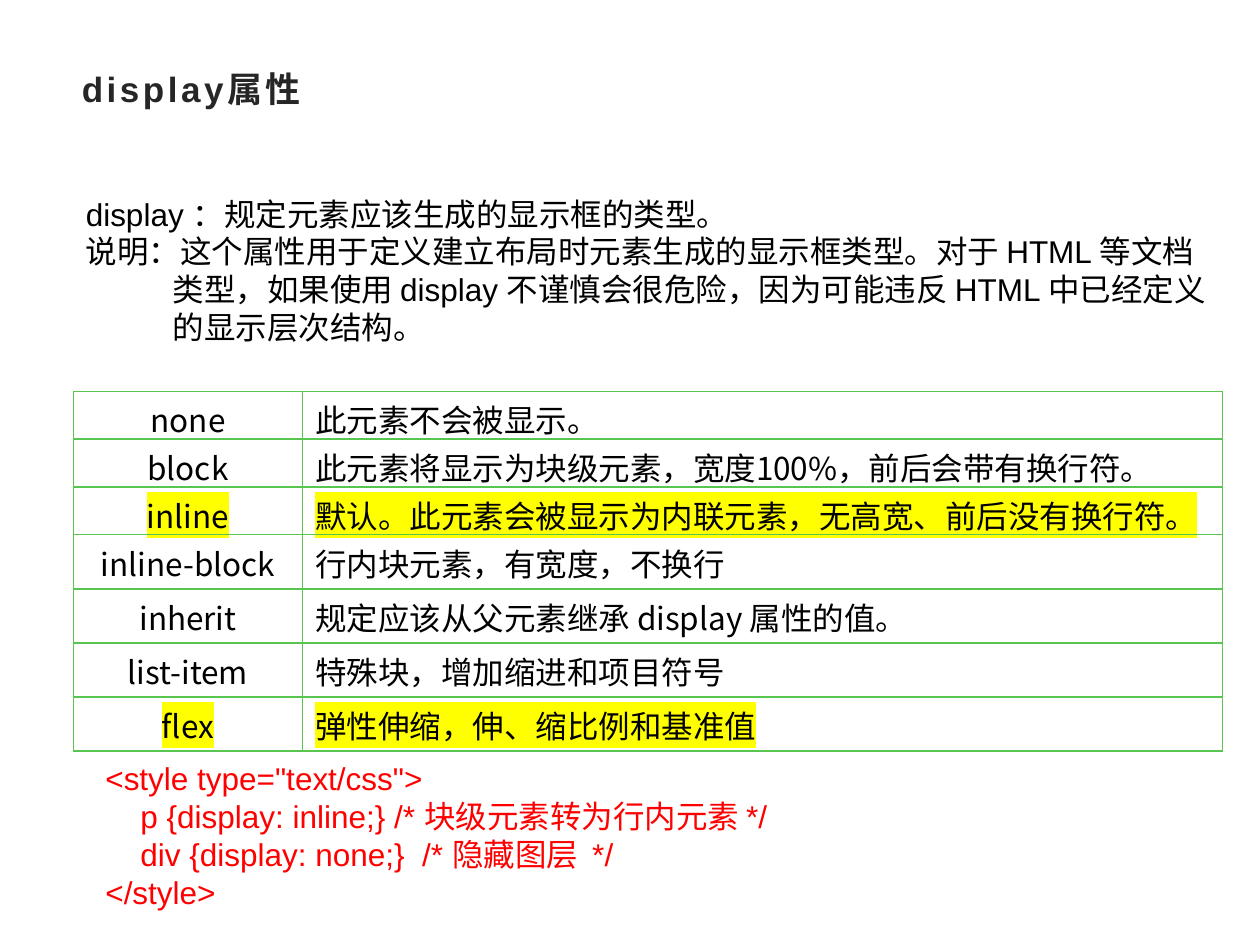
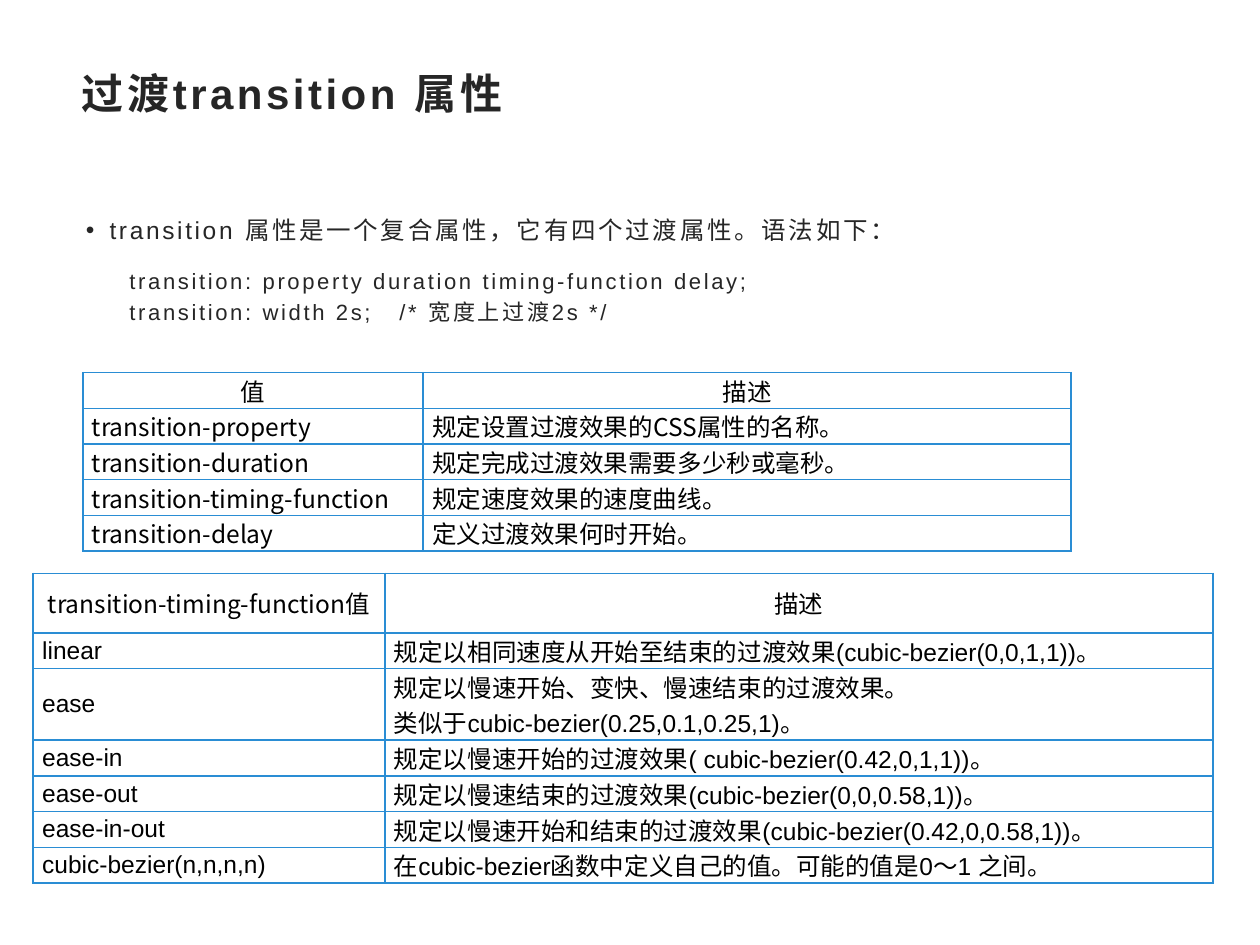
from dataclasses import dataclass
from lxml.etree import SubElement as Sub
from pptx import Presentation
from pptx.dml.color import RGBColor as Rgb
from pptx.enum.text import MSO_ANCHOR as Anchor, PP_ALIGN as Align
from pptx.oxml.ns import qn
from pptx.util import Cm, Pt


@dataclass(frozen=True)
class Theme:
    """Colours, fonts and type sizes of the slides."""
    ink: str = "000000"
    dark: str = "262626"
    red: str = "FF0000"
    green: str = "59C54F"
    blue: str = "2A8DD4"
    glow: str = "FFFF00"
    sans: str = "Arial"
    han: str = "Noto Sans CJK SC"
    large: float = 24
    head: float = 20
    text: float = 18
    small: float = 14
    code: float = 12.6


T = Theme()
TITLE = {"size": Pt(T.head), "bold": True, "color": T.dark, "track": 2}
TEXT = {"size": Pt(T.text)}
BODY = {"size": Pt(T.small), "color": T.dark, "track": 1.5}
CELL = {"size": Pt(T.small)}
ROW = 0.72

KINDS = [
    ("none", "此元素不会被显示。"),
    ("block", "此元素将显示为块级元素，宽度100%，前后会带有换行符。"),
    ("inline", "默认。此元素会被显示为内联元素，无高宽、前后没有换行符。"),
    ("inline-block", "行内块元素，有宽度，不换行"),
    ("inherit", "规定应该从父元素继承 display 属性的值。"),
    ("list-item", "特殊块，增加缩进和项目符号"),
    ("flex", "弹性伸缩，伸、缩比例和基准值"),
]
PARTS = [
    ("值", "描述"),
    ("transition-property", "规定设置过渡效果的CSS属性的名称。"),
    ("transition-duration", "规定完成过渡效果需要多少秒或毫秒。"),
    ("transition-timing-function", "规定速度效果的速度曲线。"),
    ("transition-delay", "定义过渡效果何时开始。"),
]
CURVES = [
    ([("transition-timing-function", {"name": T.han}), ("值", {})], "描述"),
    ("linear", "规定以相同速度从开始至结束的过渡效果(cubic-bezier(0,0,1,1))。"),
    ("ease", "规定以慢速开始、变快、慢速结束的过渡效果。\n"
             "类似于cubic-bezier(0.25,0.1,0.25,1)。"),
    ("ease-in", "规定以慢速开始的过渡效果( cubic-bezier(0.42,0,1,1))。"),
    ("ease-out", "规定以慢速结束的过渡效果(cubic-bezier(0,0,0.58,1))。"),
    ("ease-in-out", "规定以慢速开始和结束的过渡效果(cubic-bezier(0.42,0,0.58,1))。"),
    ("cubic-bezier(n,n,n,n)", "在cubic-bezier函数中定义自己的值。可能的值是0～1 之间。"),
]


def apply(item, values):
    """Set each named value on the item."""
    for key, value in values.items():
        setattr(item, key, value)


def add_run(para, text, look):
    """Add one run of text in the given look."""
    run = para.add_run()
    run.text = text
    look = {"name": T.sans, "color": T.ink, **look}
    color, mark, track = (look.pop(key, None) for key in ("color", "mark", "track"))
    apply(run.font, look)
    run.font.color.rgb = Rgb.from_string(color)
    props = run.font._element
    latin = props.find(qn("a:latin"))
    east = Sub(props, qn("a:ea"), typeface=T.han)
    latin.addnext(east)
    if track:
        props.set("spc", str(int(track * 100)))
    if mark:
        glow = Sub(props, qn("a:highlight"))
        Sub(glow, qn("a:srgbClr"), val=mark)
        latin.addprevious(glow)


def fill_para(para, text, look, form=None, hang=0, bullet=None):
    """Fill a paragraph with a string or a list of runs."""
    props = para._p.get_or_add_pPr()
    if hang:
        props.set("marL", str(Cm(hang)))
        props.set("indent", str(-Cm(hang)))
    if bullet:
        Sub(props, qn("a:buFont"), typeface=T.sans)
        Sub(props, qn("a:buChar"), char=bullet)
    apply(para, form or {})
    runs = [(text, {})] if isinstance(text, str) else text
    for part, change in runs:
        add_run(para, part, {**look, **change})


def next_para(frame, index):
    """Give the first paragraph, or a new one after it."""
    return frame.add_paragraph() if index else frame.paragraphs[0]


def add_text(slide, place, paras):
    """Add a wrapped text box with one paragraph for each dict."""
    frame = slide.shapes.add_textbox(*map(Cm, place)).text_frame
    frame.word_wrap = True
    for index, para in enumerate(paras):
        fill_para(next_para(frame, index), **para)


def add_title(slide, text, size=T.head):
    """Add the slide title."""
    look = {**TITLE, "size": Pt(size)}
    add_text(slide, (1.4, 1.24, 22.6, 1.22), [{"text": text, "look": look}])


def add_edge(cell, color):
    """Draw all four borders of a cell."""
    props = cell._tc.get_or_add_tcPr()
    for side in "LRTB":
        line = Sub(props, qn(f"a:ln{side}"), w=str(Pt(1)))
        Sub(Sub(line, qn("a:solidFill")), qn("a:srgbClr"), val=color)


def add_grid(slide, place, cols, rows, data, color, look, inset, align, hang=0, marks=()):
    """Add a plain table with thin coloured borders."""
    shape = slide.shapes.add_table(len(rows), len(cols), *map(Cm, place))
    grid = shape.table
    apply(grid, {"first_row": False, "horz_banding": False})
    for col, width in zip(grid.columns, cols):
        col.width = Cm(width)
    for row, height in zip(grid.rows, rows):
        row.height = Cm(height)
    shape.height = Cm(place[3])
    side, edge = map(Cm, inset)
    form = {"vertical_anchor": Anchor.MIDDLE, "margin_left": side,
            "margin_right": side, "margin_top": edge, "margin_bottom": edge}
    for r, line in enumerate(data):
        tone = {**look, "mark": T.glow} if r in marks else look
        for c, text in enumerate(line):
            cell = grid.cell(r, c)
            apply(cell, form)
            add_edge(cell, color)
            cell.fill.background()
            lines = text.split("\n") if isinstance(text, str) else [text]
            for index, part in enumerate(lines):
                fill_para(next_para(cell.text_frame, index), part, tone,
                          {"alignment": align(r, c)}, hang)


def by_col(row, col):
    """Centre the first column only."""
    return Align.LEFT if col else Align.CENTER


def by_row(row, col):
    """Centre the first row only."""
    return Align.JUSTIFY if row else Align.CENTER


def show_kinds(slide):
    """Build the slide on the display property."""
    add_title(slide, "display属性")
    add_text(slide, (1.48, 3.8, 23.09, 3.33), [
        {"text": "display ：规定元素应该生成的显示框的类型。", "look": TEXT},
        {"text": "说明：这个属性用于定义建立布局时元素生成的显示框类型。"
                 "对于 HTML 等文档类型，如果使用 display 不谨慎会很危险，"
                 "因为可能违反 HTML 中已经定义的显示层次结构。",
         "look": TEXT, "hang": 1.75},
    ])
    add_grid(slide, (1.48, 7.89, 23.16, 7.24), (4.62, 18.54),
             [0.86] * 3 + [1.09] * 4, KINDS, T.green, {**TEXT, "name": T.han},
             (0.25, 0.1), by_col, hang=0.97, marks=(2, 6))
    code = (' <style type="text/css">',
            "     p {display: inline;} /* 块级元素转为行内元素 */",
            "     div {display: none;}  /* 隐藏图层  */",
            " </style>")
    look = {**TEXT, "color": T.red}
    add_text(slide, (1.7, 15.18, 23.7, 3.33),
             [{"text": line, "look": look} for line in code])


def show_curves(slide):
    """Build the slide on the transition property."""
    add_title(slide, "过渡transition 属性", T.large)
    lead = {"text": "transition 属性是一个复合属性，它有四个过渡属性。语法如下：",
            "look": BODY, "hang": 0.48, "bullet": "•",
            "form": {"line_spacing": 1.1, "space_after": Pt(10)}}
    code = ("     transition: property duration timing-function delay;",
            "     transition: width 2s;   /* 宽度上过渡2s */")
    look = {**BODY, "size": Pt(T.code)}
    add_text(slide, (1.48, 4.16, 23.7, 2.54), [lead] + [
        {"text": line, "look": look, "hang": 0.48, "form": {"line_spacing": Pt(18)}}
        for line in code])
    short = [ROW] * len(PARTS)
    add_grid(slide, (1.67, 7.51, 19.92, sum(short)), (6.86, 13.06), short, PARTS,
             T.blue, {**CELL, "name": T.han}, (0.18, 0), by_row)
    tall = [1.2, ROW, 2 * ROW] + [ROW] * 4
    add_grid(slide, (0.67, 11.56, 23.78, sum(tall)), (7.09, 16.69), tall, CURVES,
             T.blue, CELL, (0.18, 0), by_row)


def main():
    """Build and save the two slides."""
    deck = Presentation()
    apply(deck, {"slide_width": Cm(25.4), "slide_height": Cm(19.05)})
    for show in (show_kinds, show_curves):
        show(deck.slides.add_slide(deck.slide_layouts[6]))
    deck.save("out.pptx")


if __name__ == "__main__":
    main()
